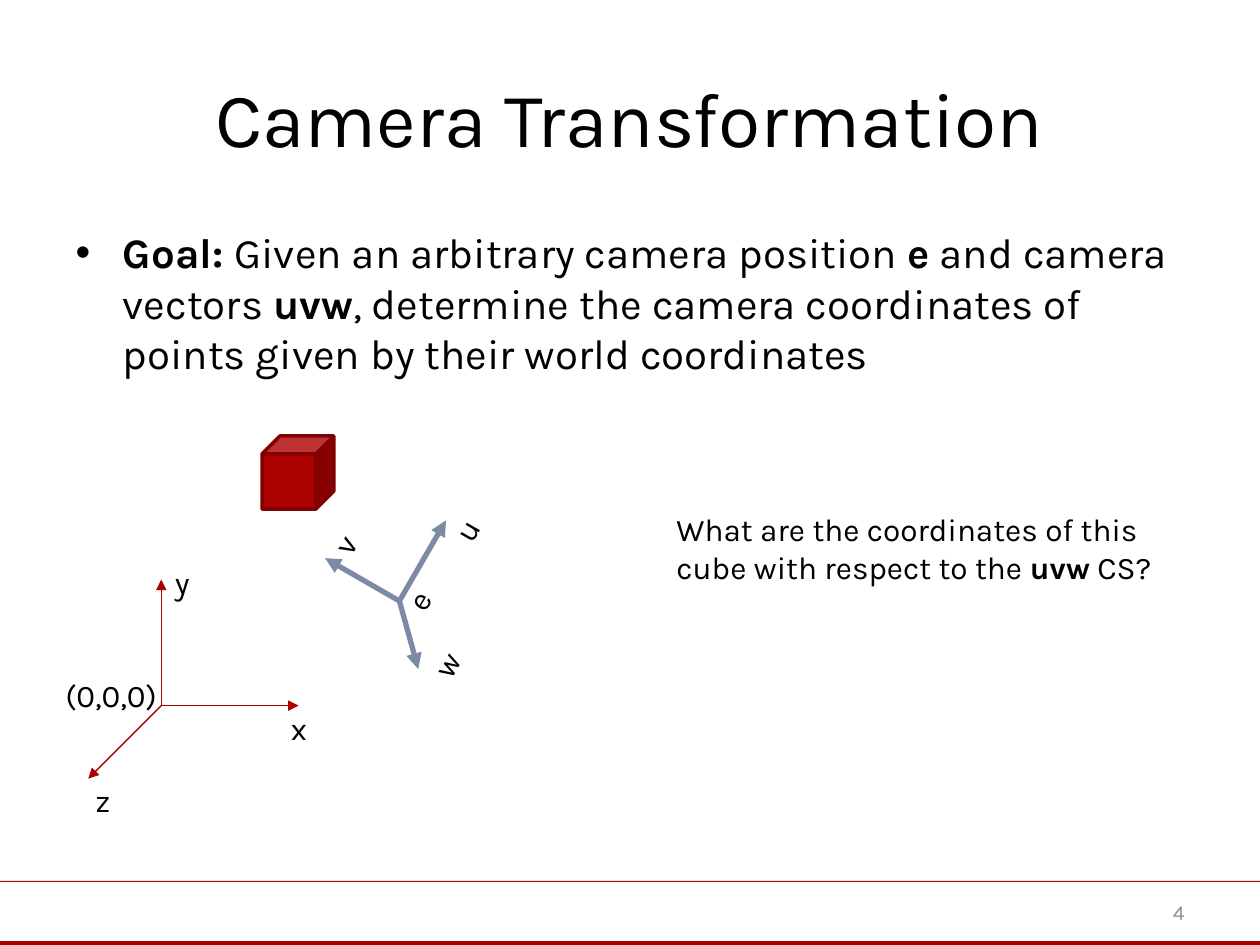
from dataclasses import dataclass

from lxml import etree
from pptx import Presentation
from pptx import util as u
from pptx.dml.color import RGBColor
from pptx.enum import shapes, text
from pptx.oxml.ns import qn


@dataclass(frozen=True)
class Theme:
    font: str = "Karla"
    ink: str = "000000"
    muted: str = "8C8C8C"
    red: str = "AD0101"
    edge: str = "800101"
    world: str = "AA0000"
    camera: str = "7C8AA6"
    title_size: int = 44
    body_size: int = 24
    label_size: int = 18
    number_size: int = 12


THEME = Theme()
TITLE = [("Camera Transformation", False)]
GOAL = [
    ("Goal: ", True),
    ("Given an arbitrary camera position ", False),
    ("e", True),
    (" and camera vectors ", False),
    ("uvw", True),
    (", determine the camera coordinates of points given by their world coordinates", False),
]
QUESTION = [
    [("What are the coordinates of this", False)],
    [("cube with respect to the ", False), ("uvw", True), (" CS?", False)],
]
RULES = [(503.28, 0.72), (537.84, 2.16)]
SYSTEMS = [
    {
        "origin": (228.24, 343.44),
        "tips": [(254.88, 297.36), (185.76, 318.96), (239.04, 382.32)],
        "labels": [
            ("u", (252, 294.48, 16.56, 19.44)),
            ("v", (182.88, 302.4, 15.84, 19.44)),
            ("w", (239.76, 371.52, 18.72, 19.44)),
            ("e", (225.36, 334.08, 16.56, 19.44)),
        ],
        "rotation": 300,
        "color": THEME.camera,
        "width": 3,
    },
    {
        "origin": (92.16, 403.2),
        "tips": [(170.64, 403.2), (92.16, 331.2), (50.4, 444.96)],
        "labels": [
            ("x", (159.12, 401.76, 23.76, 28.8)),
            ("y", (92.88, 318.24, 23.76, 28.8)),
            ("z", (47.52, 442.8, 23.76, 28.8)),
            ("(0,0,0)", (30.24, 383.04, 66.96, 28.8)),
        ],
        "rotation": 0,
        "color": THEME.world,
        "width": 0.75,
    },
]


def points(values):
    return [u.Pt(value) for value in values]


def rgb(value):
    return RGBColor.from_string(value)


def write(frame, paragraphs, size, color=THEME.ink, align=None):
    for index, runs in enumerate(paragraphs):
        para = frame.paragraphs[0] if index == 0 else frame.add_paragraph()
        para.alignment = align
        for words, bold in runs:
            span = para.add_run()
            span.text = words
            span.font.name = THEME.font
            span.font.size = u.Pt(size)
            span.font.bold = bold
            span.font.color.rgb = rgb(color)


def place(shape, area):
    shape.left, shape.top, shape.width, shape.height = points(area)


def add_label(parent, area, paragraphs, rotation=0):
    box = parent.add_textbox(*points(area))
    box.rotation = rotation
    box.text_frame.word_wrap = False
    box.text_frame.auto_size = text.MSO_AUTO_SIZE.SHAPE_TO_FIT_TEXT
    write(box.text_frame, paragraphs, THEME.label_size)


def add_arrow(parent, start, end, color, width):
    arrow = parent.add_connector(shapes.MSO_CONNECTOR.STRAIGHT, *points(start + end))
    arrow.line.color.rgb = rgb(color)
    arrow.line.width = u.Pt(width)
    etree.SubElement(arrow.line._get_or_add_ln(), qn("a:tailEnd"), type="triangle")
    etree.SubElement(arrow._element.spPr, qn("a:effectLst"))


def add_solid(page, kind, area, edge=None):
    shape = page.shapes.add_shape(kind, *points(area))
    shape.shadow.inherit = False
    shape.fill.solid()
    shape.fill.fore_color.rgb = rgb(THEME.red)
    if edge:
        shape.line.color.rgb = rgb(edge)
        shape.line.width = u.Pt(2)
    else:
        shape.line.fill.background()


def add_system(page, system):
    group = page.shapes.add_group_shape()
    for tip in system["tips"]:
        add_arrow(group.shapes, system["origin"], tip, system["color"], system["width"])
    for name, area in system["labels"]:
        add_label(group.shapes, area, [[(name, False)]], system["rotation"])


def main():
    deck = Presentation()
    deck.slide_width, deck.slide_height = points((720, 540))
    page = deck.slides.add_slide(deck.slide_layouts[1])

    for top, height in RULES:
        add_solid(page, shapes.MSO_SHAPE.RECTANGLE, (0, top, 720, height))

    title = page.shapes.title
    place(title, (36, 21.6, 648, 90))
    title.text_frame.vertical_anchor = text.MSO_ANCHOR.MIDDLE
    write(title.text_frame, [TITLE], THEME.title_size, align=text.PP_ALIGN.CENTER)

    body = page.placeholders[1]
    place(body, (36, 126, 648, 356.4))
    write(body.text_frame, [GOAL], THEME.body_size)

    number = page.shapes.add_textbox(*points((516.24, 506.88, 167.76, 28.8)))
    number.text_frame.word_wrap = True
    number.text_frame.vertical_anchor = text.MSO_ANCHOR.MIDDLE
    write(number.text_frame, [[("4", False)]], THEME.number_size, THEME.muted, text.PP_ALIGN.RIGHT)

    for system in SYSTEMS:
        add_system(page, system)
    add_solid(page, shapes.MSO_SHAPE.CUBE, (149.76, 249.12, 41.04, 41.76), THEME.edge)
    add_label(page.shapes, (379.44, 288, 287.28, 51.12), QUESTION)
    deck.save("out.pptx")


if __name__ == "__main__":
    main()
